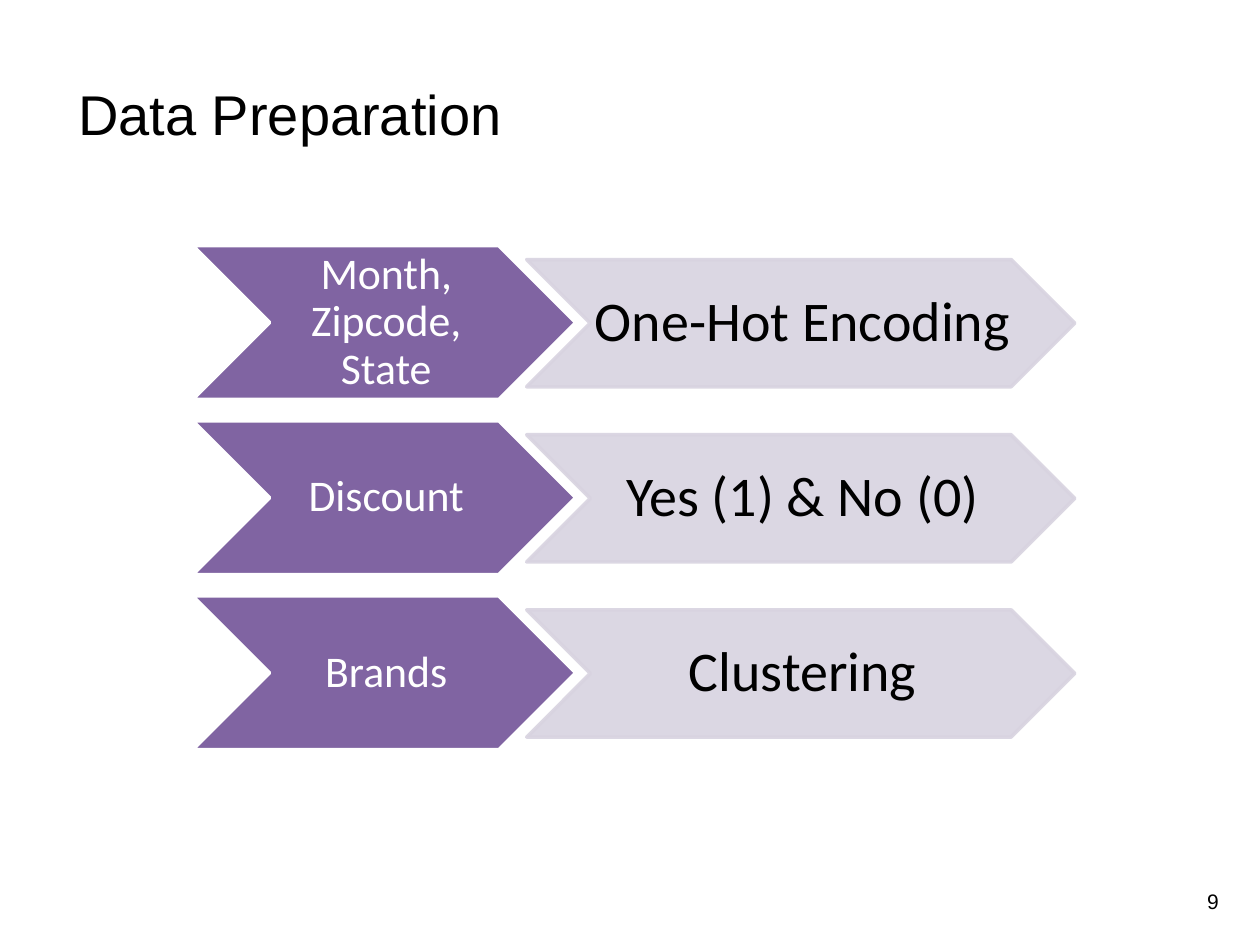
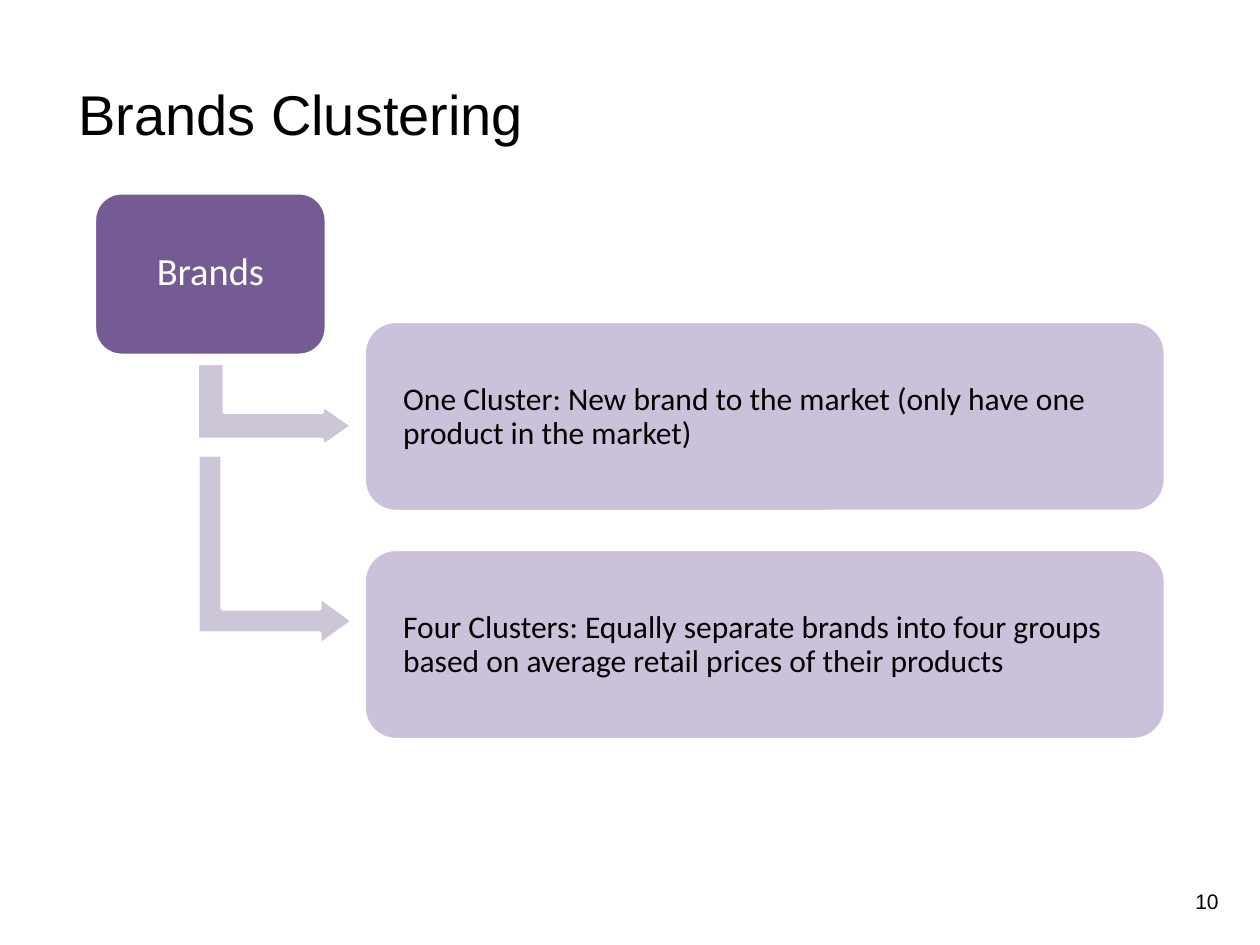
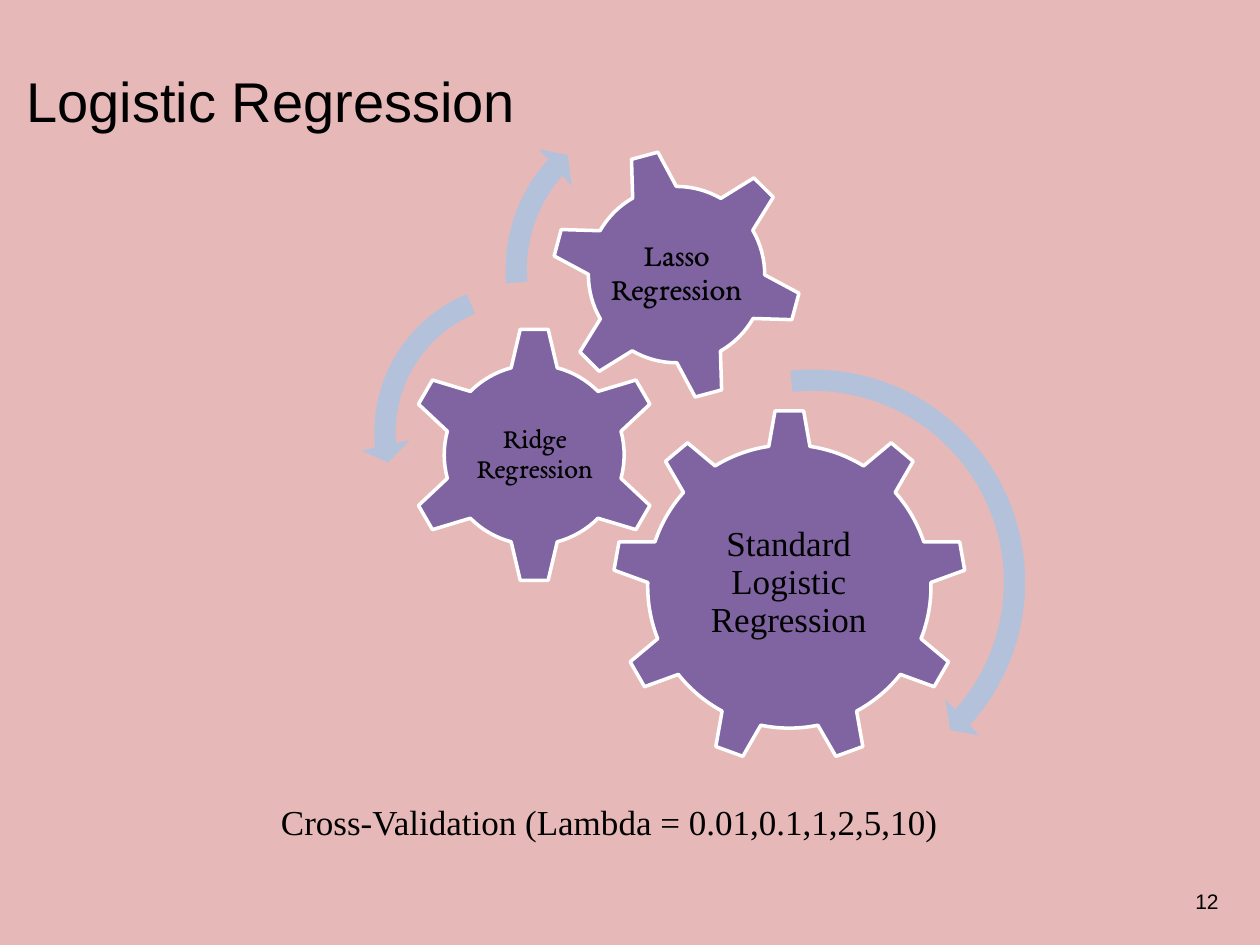
from lxml.etree import SubElement
from pptx import Presentation
from pptx.dml.color import RGBColor
from pptx.enum.shapes import MSO_SHAPE as Shape
from pptx.enum.text import MSO_ANCHOR as Anchor, PP_ALIGN as Align
from pptx.oxml.ns import qn
from pptx.util import Inches, Pt

BLACK = RGBColor(0x00, 0x00, 0x00)
WHITE = RGBColor(0xFF, 0xFF, 0xFF)
PINK = RGBColor(0xE6, 0xB9, 0xB8)
PURPLE = RGBColor(0x80, 0x64, 0xA2)
DARK_PURPLE = RGBColor(0x74, 0x5B, 0x93)
LILAC = RGBColor(0xCC, 0xC1, 0xDA)
GREY_LILAC = RGBColor(0xCD, 0xC6, 0xD7)
PALE_LILAC = RGBColor(0xD8, 0xD3, 0xE0)
PALE_BLUE = RGBColor(0xB3, 0xC1, 0xDB)

SANS = "Arial"
BODY = "Calibri"
SERIF = "Times New Roman"
GARAMOND = "EB Garamond"


def add_text(shapes, text, area, size, font=BODY, color=BLACK, align=Align.CENTER,
             anchor=Anchor.MIDDLE, insets=(0.03, 0.02, 0, 0.02), spacing=0.9):
    box = shapes.add_textbox(*map(Inches, area))
    frame = box.text_frame
    frame.word_wrap = True
    frame.vertical_anchor = anchor
    (frame.margin_left, frame.margin_top,
     frame.margin_right, frame.margin_bottom) = map(Inches, insets)
    para = frame.paragraphs[0]
    para.text = text
    para.alignment = align
    para.line_spacing = spacing
    para.font.size = Pt(size)
    para.font.name = font
    para.font.color.rgb = color
    return box


def add_figure(shapes, kind, area, fill, line=WHITE, adjustments=(), rotation=0):
    figure = shapes.add_shape(kind, *map(Inches, area))
    figure.shadow.inherit = False
    figure.rotation = rotation
    for index, value in enumerate(adjustments):
        figure.adjustments[index] = value
    figure.fill.solid()
    figure.fill.fore_color.rgb = fill
    if line is None:
        figure.line.fill.background()
    else:
        figure.line.color.rgb = line
        figure.line.width = Pt(2)
    return figure


def set_opacity(figure, percent):
    for color in figure._element.spPr.iter(qn("a:srgbClr")):
        SubElement(color, qn("a:alpha"), val=str(percent * 1000))


def add_page(deck, title, number, background=WHITE, title_at=(0.62, 0)):
    page = deck.slides.add_slide(deck.slide_layouts[6])
    page.background.fill.solid()
    page.background.fill.fore_color.rgb = background
    add_text(page.shapes, str(number), (9.12, 6.95, 0.65, 0.4), 12, SANS,
             align=Align.RIGHT, insets=(0.1, 0.05, 0.1, 0.05), spacing=1.0)
    add_text(page.shapes, title, (*title_at, 8.75, 1.17), 32, SANS,
             align=Align.LEFT, anchor=Anchor.BOTTOM, insets=(0, 0.05, 0.1, 0))
    return page


def add_step(shapes, middle, feature, treatment):
    top = middle - 0.61
    add_figure(shapes, Shape.CHEVRON, (1.53, top, 3.04, 1.22), PURPLE)
    add_text(shapes, feature, (2.14, top, 1.82, 1.22), 25, color=WHITE)
    top = middle - 0.5
    pale = add_figure(shapes, Shape.CHEVRON, (4.18, top, 4.35, 1.01), PALE_LILAC, PALE_LILAC)
    set_opacity(pale, 90)
    add_text(shapes, treatment, (4.68, top, 3.34, 1.01), 32, insets=(0.04, 0.02, 0, 0.02))


def add_cluster(page, top, text):
    shapes = page.shapes.add_group_shape().shapes
    add_figure(shapes, Shape.ROUNDED_RECTANGLE, (2.89, top, 6.36, 1.51), LILAC,
               adjustments=[0.167])
    box = add_text(shapes, text, (3.11, top + 0.08, 5.93, 1.36), 18,
                   align=Align.LEFT, insets=[0.09] * 4)
    box.fill.solid()
    box.fill.fore_color.rgb = LILAC


def add_gear(shapes, kind, area, text, text_area, size, font, rotation=0):
    add_figure(shapes, kind, area, PURPLE, rotation=rotation)
    add_text(shapes, text, text_area, size, font, insets=[0.03] * 4)


def build_preparation(deck):
    page = add_page(deck, "Data Preparation", 9)
    steps = [("Month, Zipcode, State", "One-Hot Encoding"),
             ("Discount", "Yes (1) & No (0)"),
             ("Brands", "Clustering")]
    shapes = page.shapes.add_group_shape().shapes
    for row, (feature, treatment) in enumerate(steps):
        add_step(shapes, 2.56 + 1.39 * row, feature, treatment)


def build_clustering(deck):
    page = add_page(deck, "Brands Clustering", 10)
    root = page.shapes.add_group_shape().shapes
    add_figure(root, Shape.ROUNDED_RECTANGLE, (0.75, 1.53, 1.84, 1.29), DARK_PURPLE,
               adjustments=[0.167])
    add_text(root, "Brands", (0.81, 1.59, 1.72, 1.16), 22, color=WHITE, insets=[0.09] * 4)
    clusters = [
        (2.55, (1.85, 2.6, 0.66, 1.23), (0.328, 0.25, 0.358),
         "One Cluster: New brand to the market (only have one product in the market)"),
        (4.36, (1.43, 3.75, 1.51, 1.23), (0.157, 0.155, 0.213),
         "Four Clusters: Equally separate brands into four groups based on "
         "average retail prices of their products"),
    ]
    for top, arrow_area, bends, text in clusters:
        add_figure(page.shapes, Shape.BENT_UP_ARROW, arrow_area, GREY_LILAC,
                   adjustments=bends, rotation=90)
        add_cluster(page, top, text)


def build_regression(deck):
    page = add_page(deck, "Logistic Regression", 12, PINK, (0.21, -0.1))
    add_text(page.shapes, "Cross-Validation (Lambda = 0.01,0.1,1,2,5,10)",
             (2.23, 5.97, 7.94, 4.86), 20, SERIF, align=Align.LEFT, anchor=Anchor.TOP,
             insets=(0, 0.05, 0.1, 0.05), spacing=2.0)
    shapes = page.shapes.add_group_shape().shapes
    add_gear(shapes, Shape.GEAR_9, (4.86, 3.25, 2.81, 2.81),
             "Standard Logistic Regression", (5.42, 3.91, 1.68, 1.44), 20, SERIF)
    add_gear(shapes, Shape.GEAR_6, (3.22, 2.59, 2.04, 2.04),
             "Ridge Regression", (3.74, 3.1, 1.01, 1.01), 16, GARAMOND)
    add_gear(shapes, Shape.GEAR_6, (4.37, 1.18, 2, 2),
             "Lasso Regression", (4.81, 1.61, 1.12, 1.12), 18, GARAMOND, rotation=345)
    turns = [
        (Shape.CIRCULAR_ARROW, 4.65, 2.82, 3.6, (0.047, 2.99, 25.265, 158.392, 0.055)),
        (Shape.LEFT_CIRCULAR_ARROW, 2.86, 2.13, 2.61, (0.065, 4.3, 104.891, 148.378, 0.075)),
        (Shape.CIRCULAR_ARROW, 3.9, 0.73, 2.82, (0.06, 3.941, 133.138, 105.082, 0.07)),
    ]
    for kind, left, top, size, sweep in turns:
        add_figure(shapes, kind, (left, top, size, size), PALE_BLUE, None, sweep)


def main():
    deck = Presentation()
    deck.slide_width = Inches(10)
    deck.slide_height = Inches(7.5)
    build_preparation(deck)
    build_clustering(deck)
    build_regression(deck)
    deck.save("out.pptx")


if __name__ == "__main__":
    main()
